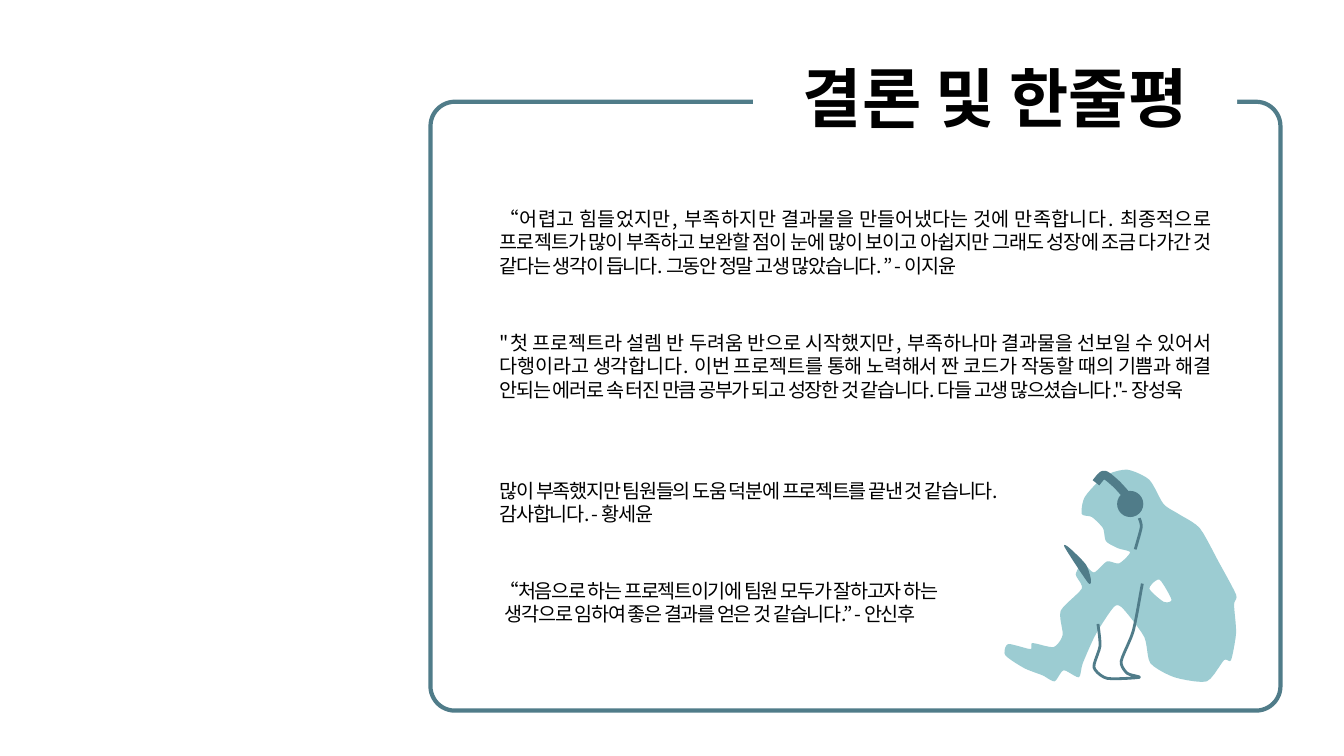
import pptx
import pptx.util
import pptx.dml.color
import pptx.enum.shapes
import pptx.enum.text
from dataclasses import dataclass
from lxml import etree
from pptx.util import Inches

KIND = pptx.enum.shapes.MSO_SHAPE
ALIGN = pptx.enum.text.PP_ALIGN
ANCHOR = pptx.enum.text.MSO_ANCHOR


@dataclass(frozen=True)
class Theme:
    font: str = "Noto Sans CJK KR"
    ink: str = "000000"
    paper: str = "FFFFFF"
    teal: str = "507C89"
    pale: str = "9CCCD2"
    title: int = 46
    body: int = 14


THEME = Theme()

# Each quote: its line count on the slide, then paragraphs as (text, indent)
QUOTES = [
    (3, [("“어렵고 힘들었지만, 부족하지만 결과물을 만들어냈다는 것에 만족합니다. "
          "최종적으로 프로젝트가 많이 부족하고 보완할 점이 눈에 많이 보이고 아쉽지만 "
          "그래도 성장에 조금 다가간 것 같다는 생각이 듭니다. "
          "그동안 정말 고생 많았습니다. ” - 이지윤", 0)]),
    (4, [("\"첫 프로젝트라 설렘 반 두려움 반으로 시작했지만, 부족하나마 결과물을 "
          "선보일 수 있어서 다행이라고 생각합니다. 이번 프로젝트를 통해 노력해서 짠 "
          "코드가 작동할 때의 기쁨과 해결 안되는 에러로 속 터진 만큼 공부가 되고 "
          "성장한 것 같습니다. 다들 고생 많으셨습니다.\"- 장성욱", 0)]),
    (2, [("많이 부족했지만 팀원들의 도움 덕분에 프로젝트를 끝낸 것 같습니다.", 0),
         ("감사합니다. - 황세윤", 0)]),
    (2, [("“처음으로 하는 프로젝트이기에 팀원 모두가 잘하고자 하는", 0),
         ("생각으로 임하여 좋은 결과를 얻은 것 같습니다.” - 안신후", 0.05)]),
]

# Key points of the listener, in inches
BODY = [
    (9.97, 6.5), (10, 6.39), (10.22, 6.44), (10.24, 6.38), (10.45, 6.42),
    (10.54, 6.3), (10.52, 6.06), (10.73, 5.84), (10.67, 5.7), (10.74, 5.59),
    (10.85, 5.68), (10.98, 5.57), (11.1, 5.59), (11.21, 5.48), (11.09, 5.44),
    (10.97, 5.37), (10.94, 5.24), (10.83, 5.13), (10.73, 5.1), (10.76, 4.93),
    (10.96, 4.72), (11.18, 4.66), (11.4, 4.76), (11.54, 5), (11.69, 5.1),
    (11.9, 5.24), (12.09, 5.58), (12.26, 5.9), (12.24, 6), (12.26, 6.28),
    (12.21, 6.55), (12.14, 6.55), (11.97, 6.76), (11.65, 6.72), (11.41, 6.58),
    (11.35, 6.32), (11.14, 6.04), (11.05, 6.02), (10.87, 6.29), (10.74, 6.58),
    (10.7, 6.72), (10.55, 6.65), (10.46, 6.76), (10.34, 6.7), (10.16, 6.63),
]
ELBOW = [(11.4, 5.84), (11.54, 5.97), (11.62, 5.95), (11.5, 5.75)]
TABLET = [(10.56, 5.43), (10.6, 5.43), (10.77, 5.6), (10.82, 5.75),
          (10.79, 5.78)]
BAND = [(10.87, 4.79), (10.95, 4.71), (11.07, 4.8), (11.18, 4.92)]
WIRE = [(11.3, 5.14), (11.32, 5.23), (11.26, 5.45)]
LOOP = [(11.33, 5.79), (11.24, 6.26), (11.12, 6.56), (11.18, 6.68),
        (11.3, 6.72), (10.98, 6.73), (10.85, 6.62), (10.91, 6.41),
        (10.89, 6.19)]


def rgb(code):
    return pptx.dml.color.RGBColor.from_string(code)


def paint(shape, color):
    shape.shadow.inherit = False
    shape.fill.solid()
    shape.fill.fore_color.rgb = rgb(color)
    shape.line.fill.background()


def stroke(shape, width):
    shape.shadow.inherit = False
    shape.fill.background()
    shape.line.color.rgb = rgb(THEME.teal)
    shape.line.width = pptx.util.Pt(width)


def add_run(para, text, size, bold=False, tight=0):
    run = para.add_run()
    run.text = text
    font = run.font
    font.size, font.bold, font.name = pptx.util.Pt(size), bold, THEME.font
    font.color.rgb = rgb(THEME.ink)
    props = run._r.get_or_add_rPr()
    props.set("spc", str(tight))
    etree.SubElement(props, pptx.oxml.ns.qn("a:ea"), typeface=THEME.font)


def add_frame(slide):
    frame = slide.shapes.add_shape(KIND.ROUNDED_RECTANGLE, Inches(4.27),
                                   Inches(1.01), Inches(8.43), Inches(6.04))
    frame.adjustments[0] = 0.04
    stroke(frame, 3)


def add_title(slide, text):
    box = slide.shapes.add_shape(KIND.RECTANGLE, Inches(7.47), Inches(0.61),
                                 Inches(4.8), Inches(0.79))
    paint(box, THEME.paper)
    box.text_frame.vertical_anchor = ANCHOR.MIDDLE
    para = box.text_frame.paragraphs[0]
    para.alignment, para.line_spacing = ALIGN.CENTER, 0.9
    add_run(para, text, THEME.title, bold=True)


def add_quote(slide, top, high, paras):
    box = slide.shapes.add_textbox(Inches(4.86), Inches(top),
                                   Inches(7.24), Inches(high))
    frame = box.text_frame
    frame.word_wrap = True
    for i, (text, indent) in enumerate(paras):
        para = frame.add_paragraph() if i else frame.paragraphs[0]
        para.alignment = ALIGN.JUSTIFY
        if indent:
            para._p.get_or_add_pPr().set("marL", str(Inches(indent)))
        add_run(para, text, THEME.body, tight=-100)


def bend(knots, closed, steps=5, pull=0.35):
    """Run a smooth curve through the knots, as points in EMU."""
    count = len(knots)

    def knot(i):
        return knots[i % count if closed else min(max(i, 0), count - 1)]

    spots = [knots[0]]
    for i in range(count if closed else count - 1):
        near = zip(knot(i - 1), knot(i), knot(i + 1), knot(i + 2))
        axes = [(b, b + (c - a) * pull / 3, c - (d - b) * pull / 3, c)
                for a, b, c, d in near]
        for t in (n / steps for n in range(1, steps + 1)):
            u = 1 - t
            spots.append(tuple(
                u**3 * a + 3 * u * u * t * b + 3 * u * t * t * c + t**3 * d
                for a, b, c, d in axes))
    return [(Inches(x), Inches(y)) for x, y in spots]


def add_curve(group, *paths, closed=True):
    first, *rest = [bend(path, closed) for path in paths]
    pen = group.shapes.build_freeform(*first[0])
    pen.add_line_segments(first[1:], close=closed)
    for spots in rest:
        pen.move_to(*spots[0])
        pen.add_line_segments(spots[1:], close=closed)
    return pen.convert_to_shape()


def add_figure(slide):
    group = slide.shapes.add_group_shape()
    paint(add_curve(group, BODY, ELBOW), THEME.pale)
    paint(add_curve(group, TABLET), THEME.teal)
    for path, width in ((BAND, 6), (WIRE, 2), (LOOP, 2)):
        stroke(add_curve(group, path, closed=False), width)
    ear = group.shapes.add_shape(KIND.OVAL, Inches(11.08), Inches(4.87),
                                 Inches(0.26), Inches(0.26))
    paint(ear, THEME.teal)


def main():
    deck = pptx.Presentation()
    deck.slide_width, deck.slide_height = Inches(13.33), Inches(7.5)
    slide = deck.slides.add_slide(deck.slide_layouts[6])

    # Frame and title
    add_frame(slide)
    add_title(slide, "결론 및 한줄평")

    # Seated listener
    add_figure(slide)

    # Quotes, stacked with an equal gap
    top = 2
    for lines, paras in QUOTES:
        high = 0.1 + 0.24 * lines
        add_quote(slide, top, high, paras)
        top += high + 0.41

    deck.save("out.pptx")


if __name__ == "__main__":
    main()
